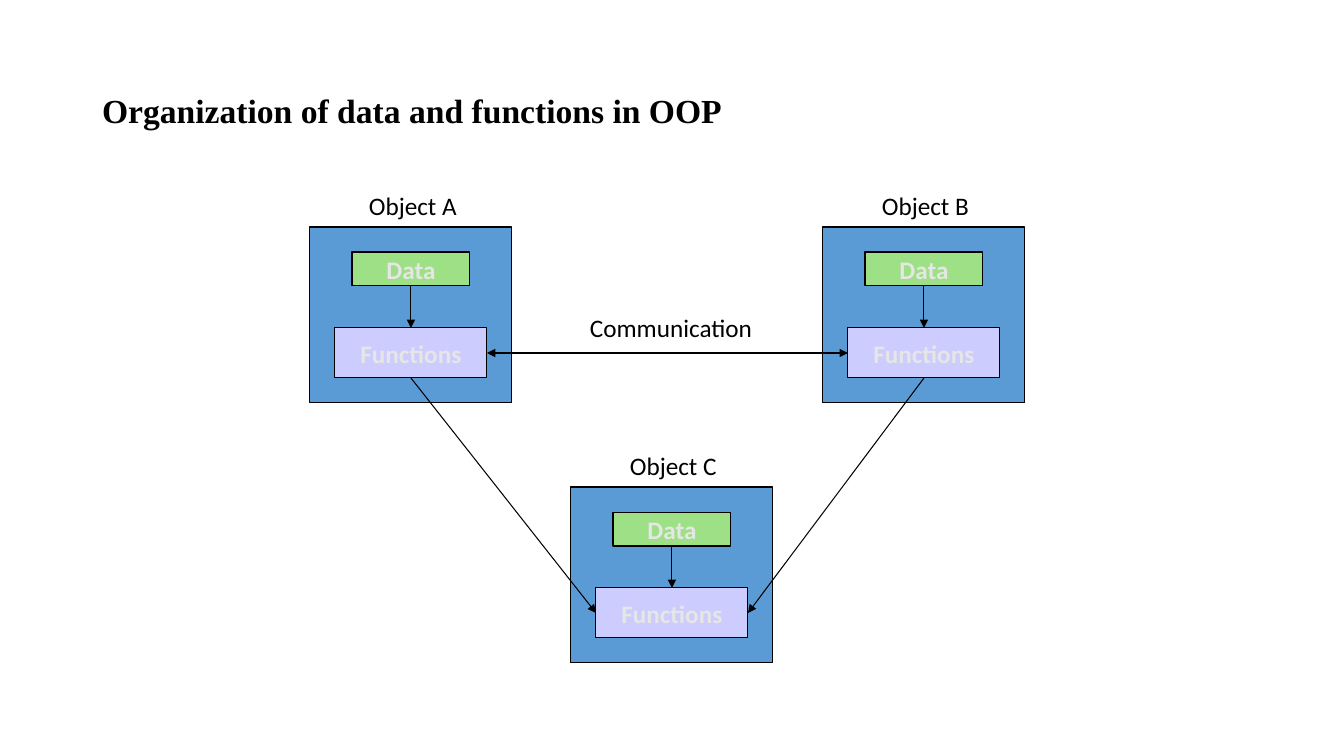
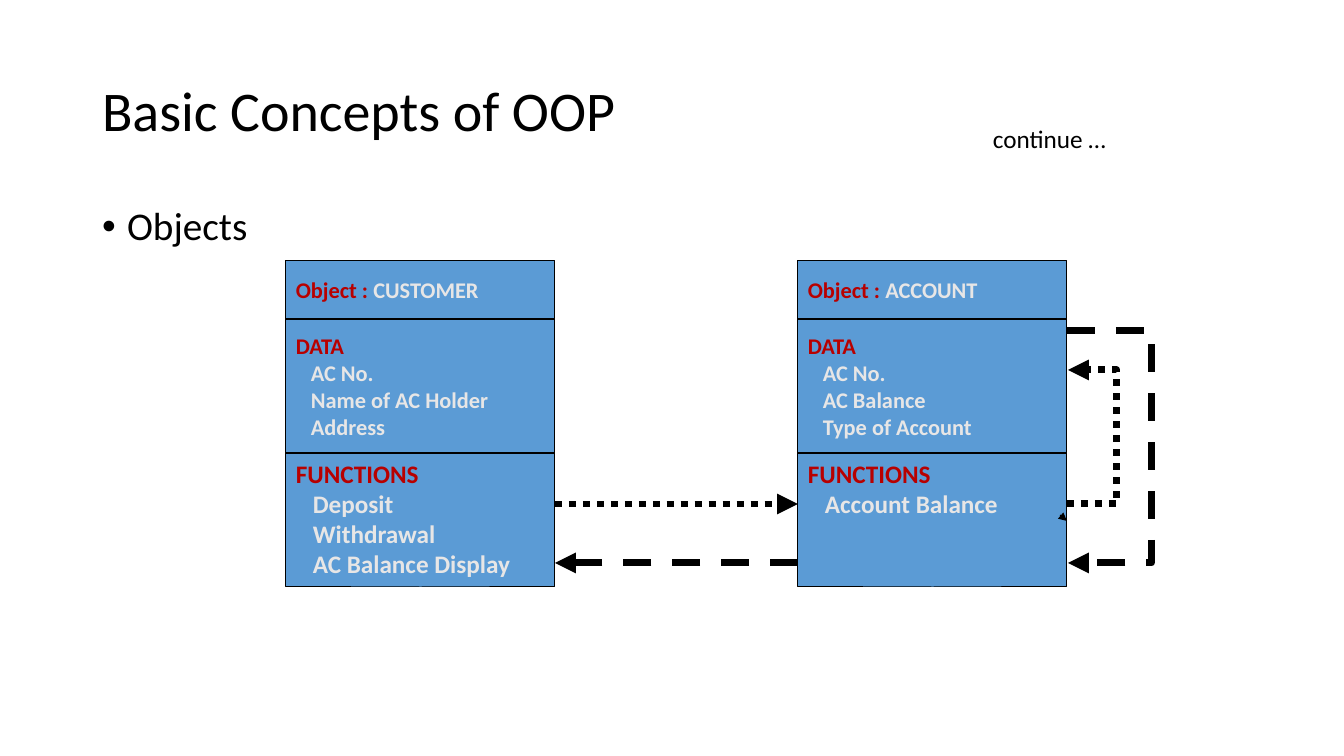
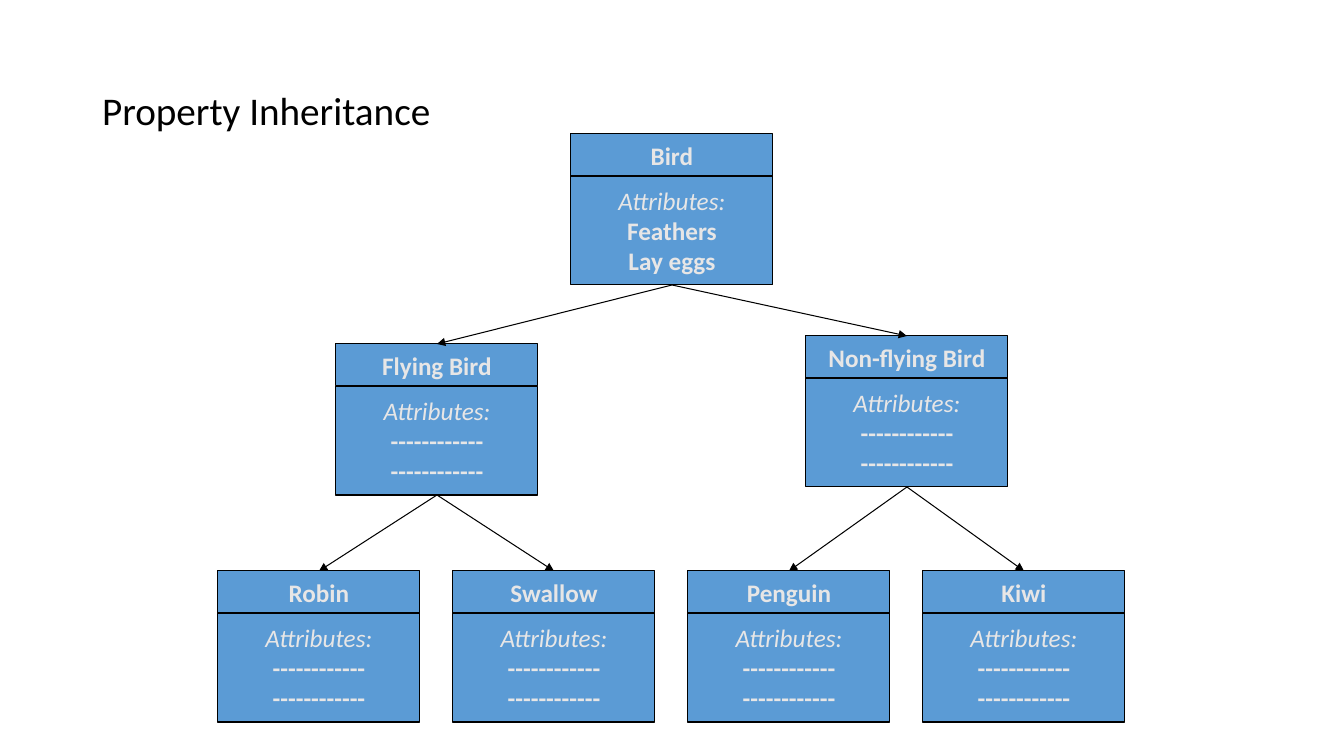
"""Three slides on object-oriented programming: objects, messages and inheritance."""
from dataclasses import dataclass
from typing import Any

import pptx
import pptx.dml.color
import pptx.enum.dml
import pptx.enum.shapes
import pptx.enum.text
import pptx.oxml.ns
import pptx.oxml.xmlchemy
import pptx.util
from lxml import etree

SCALE = 914400 / 100.8  # EMU per pixel
COLORS = {
    "black": "000000", "blue": "5B9BD5", "green": "9EE086",
    "lilac": "CCCCFF", "light": "E7E6E6", "red": "B80000",
}
ALIGN = pptx.enum.text.PP_ALIGN
ANCHOR = pptx.enum.text.MSO_ANCHOR
FIT = pptx.enum.text.MSO_AUTO_SIZE
DASH = pptx.enum.dml.MSO_LINE
CONNECTOR = pptx.enum.shapes.MSO_CONNECTOR
TOP, LEFT, BOTTOM, RIGHT = range(4)  # connection sites of a rectangle
DASHES = "------------"


@dataclass(frozen=True)
class Run:
    """A piece of text with one format."""
    text: str
    color: str = "light"
    size: int = 18
    bold: bool = True
    italic: bool = False
    font: str = "Calibri"


@dataclass(frozen=True)
class Line:
    """A paragraph, with its left indent in pixels."""
    runs: tuple[Run, ...]
    align: Any = ALIGN.CENTER
    indent: int = 0


@dataclass(frozen=True)
class Box:
    """A place on the slide in pixels."""
    x: int
    y: int
    w: int
    h: int


@dataclass(frozen=True)
class Record:
    """An object with its data and functions."""
    name: str
    x: int
    data: tuple[str, ...]
    functions: tuple[str, ...]


@dataclass(frozen=True)
class Bird:
    """A class in the inheritance tree."""
    name: str
    x: int
    y: int
    parent: str = ""
    attributes: tuple[str, str] = (DASHES, DASHES)


@dataclass(frozen=True)
class Arrow:
    """A message arrow; bend is how far an elbow reaches out to the right."""
    start: tuple[int, int]
    end: tuple[int, int]
    dash: Any = None
    width: float = 5
    bend: int = 0


def px(n: float) -> pptx.util.Emu:
    """Turn pixels into EMU."""
    return pptx.util.Emu(round(n * SCALE))


def rgb(name: str) -> pptx.dml.color.RGBColor:
    """Look up a colour."""
    return pptx.dml.color.RGBColor.from_string(COLORS[name])


def assign(target: Any, values: dict[str, Any]) -> None:
    """Set attributes from a dict of format values."""
    for key, value in values.items():
        setattr(target, key, value)


def place(sp: Any, box: Box) -> None:
    """Move and size a shape."""
    assign(sp, {"left": px(box.x), "top": px(box.y),
                "width": px(box.w), "height": px(box.h)})


def write(tf: Any, lines: list[Line]) -> None:
    """Fill a text frame with formatted paragraphs."""
    for i, line in enumerate(lines):
        p = tf.add_paragraph() if i else tf.paragraphs[0]
        p.alignment = line.align
        if line.indent:
            p._p.get_or_add_pPr().set("marL", str(px(line.indent)))
        for run in line.runs:
            r = p.add_run()
            r.text = run.text
            assign(r.font, {"name": run.font, "size": pptx.util.Pt(run.size),
                            "bold": run.bold, "italic": run.italic})
            r.font.color.rgb = rgb(run.color)


def rect(shapes: Any, box: Box, fill: str, lines: list[Line], anchor: Any = ANCHOR.MIDDLE) -> Any:
    """Draw an outlined rectangle with text."""
    kind = pptx.enum.shapes.MSO_SHAPE.RECTANGLE
    sp = shapes.add_shape(kind, px(box.x), px(box.y), px(box.w), px(box.h))
    sp.shadow.inherit = False
    sp.fill.solid()
    sp.fill.fore_color.rgb = rgb(fill)
    sp.line.color.rgb = rgb("black")
    sp.line.width = pptx.util.Pt(0.75)
    assign(sp.text_frame, {"word_wrap": False, "vertical_anchor": anchor})
    write(sp.text_frame, lines)
    return sp


def label(s: Any, box: Box, text: str) -> None:
    """Draw a plain text box."""
    sp = s.shapes.add_textbox(px(box.x), px(box.y), px(box.w), px(box.h))
    assign(sp.text_frame, {"word_wrap": False, "auto_size": FIT.SHAPE_TO_FIT_TEXT})
    write(sp.text_frame, [Line((Run(text, "black", bold=False),), ALIGN.LEFT)])


def style_arrow(cx: Any, width: float = 0.75, dash: Any = None, both: bool = False) -> None:
    """Give a connector its line, arrowheads and no shadow."""
    cx.line.color.rgb = rgb("black")
    cx.line.width = pptx.util.Pt(width)
    if dash is not None:
        cx.line.dash_style = dash
    qn = pptx.oxml.ns.qn
    sp_pr = cx.element.spPr
    ln = sp_pr.get_or_add_ln()
    for end in ("a:headEnd", "a:tailEnd") if both else ("a:tailEnd",):
        etree.SubElement(ln, qn(end), type="triangle")
    etree.SubElement(sp_pr, qn("a:effectLst"))


def link(s: Any, start: Any, start_site: int, end: Any, end_site: int, both: bool = False) -> None:
    """Join two shapes by a straight arrow."""
    cx = s.shapes.add_connector(CONNECTOR.STRAIGHT, 0, 0, 0, 0)
    cx.begin_connect(start, start_site)
    cx.end_connect(end, end_site)
    style_arrow(cx, both=both)


def message(s: Any, arrow: Arrow) -> None:
    """Draw a free arrow, straight or bent."""
    kind = CONNECTOR.ELBOW if arrow.bend else CONNECTOR.STRAIGHT
    cx = s.shapes.add_connector(kind, *map(px, arrow.start + arrow.end))
    if arrow.bend:
        qn = pptx.oxml.ns.qn
        geom = cx.element.spPr.find(qn("a:prstGeom"))
        guides = geom.find(qn("a:avLst"))
        if guides is None:
            guides = etree.SubElement(geom, qn("a:avLst"))
        ratio = arrow.bend * 100000 // (arrow.end[0] - arrow.start[0])
        etree.SubElement(guides, qn("a:gd"), name="adj1", fmla=f"val {ratio}")
    style_arrow(cx, arrow.width, arrow.dash)


def add_slide(prs: Any, layout: int, title: Run) -> Any:
    """Add a slide and format its title."""
    s = prs.slides.add_slide(prs.slide_layouts[layout])
    sp = s.shapes.title
    place(sp, Box(92, 40, 1159, 146))
    assign(sp.text_frame, {"vertical_anchor": ANCHOR.MIDDLE, "auto_size": FIT.NONE,
                           "word_wrap": True})
    write(sp.text_frame, [Line((title,), ALIGN.LEFT)])
    sp.text_frame.paragraphs[0].line_spacing = 0.9
    return s


def draw_object(s: Any, name: str, x: int, y: int) -> Any:
    """Draw an object around its data and functions; return the functions box."""
    rect(s.shapes, Box(x, y, 202, 176), "blue", [])
    data = rect(s.shapes, Box(x + 42, y + 25, 118, 34), "green", [Line((Run("Data"),))])
    functions = rect(s.shapes, Box(x + 25, y + 101, 152, 50), "lilac",
                     [Line((Run("Functions"),))])
    link(s, data, BOTTOM, functions, TOP)
    label(s, Box(x + 49, y - 42, 110, 40), name)
    return functions


def organization_slide(prs: Any) -> None:
    """Three objects that communicate."""
    s = add_slide(prs, 5, Run("Organization of data and functions in OOP", "black", 24,
                              font="Times New Roman"))
    places = {"Object A": (310, 227), "Object B": (823, 227), "Object C": (571, 487)}
    a, b, c = (draw_object(s, name, *at) for name, at in places.items())
    link(s, a, BOTTOM, c, LEFT)
    link(s, b, BOTTOM, c, RIGHT)
    link(s, a, RIGHT, b, LEFT, both=True)
    label(s, Box(580, 307, 184, 40), "Communication")


def draw_record(s: Any, record: Record) -> None:
    """Draw the three stacked panels of a record."""
    def section(head: str, items: tuple[str, ...], size: int, indent: int) -> list[Line]:
        """Red heading above indented items."""
        return [Line((Run(head, "red", size),), ALIGN.LEFT)] + [
            Line((Run(item, size=size),), ALIGN.LEFT, indent) for item in items]

    name = Line((Run("Object :", "red", 16), Run(f" {record.name}", size=16)), ALIGN.LEFT)
    panels = [
        (59, [name], ANCHOR.MIDDLE),
        (134, section("DATA", record.data, 16, 15), ANCHOR.MIDDLE),
        (134, section("FUNCTIONS", record.functions, 18, 17), ANCHOR.TOP),
    ]
    shapes = s.shapes.add_group_shape().shapes
    y = 260
    for height, lines, anchor in panels:
        rect(shapes, Box(record.x, y, 269, height), "blue", lines, anchor)
        y += height


def concepts_slide(prs: Any) -> None:
    """Two objects that exchange messages."""
    s = add_slide(prs, 1, Run("Basic Concepts of OOP", "black", 40, bold=False))
    body = s.placeholders[1]
    place(body, Box(92, 202, 1159, 480))
    body.text_frame.auto_size = FIT.NONE
    write(body.text_frame, [Line((Run("Objects", "black", 28, bold=False),), ALIGN.LEFT, 25)])
    p = body.text_frame.paragraphs[0]
    assign(p, {"line_spacing": 0.9, "space_before": pptx.util.Pt(10)})
    p_pr = p._p.get_or_add_pPr()
    p_pr.set("indent", str(-px(25)))
    etree.SubElement(p_pr, pptx.oxml.ns.qn("a:buChar"), char="•")

    for record in (
        Record("CUSTOMER", 286, ("AC No.", "Name of AC Holder", "Address"),
               ("Deposit", "Withdrawal", "AC Balance Display")),
        Record("ACCOUNT", 798, ("AC No.", "AC Balance", "Type of Account"),
               ("Account Balance",)),
    ):
        draw_record(s, record)
    for arrow in (
        Arrow((555, 504), (798, 504), DASH.ROUND_DOT),
        Arrow((798, 563), (555, 563), DASH.DASH),
        Arrow((1060, 515), (1067, 521), width=0.75),
        Arrow((1067, 504), (1068, 370), DASH.ROUND_DOT, bend=50),
        Arrow((1067, 331), (1068, 563), DASH.DASH, bend=85),
    ):
        message(s, arrow)
    label(s, Box(983, 118, 137, 40), "continue …")


def draw_bird(s: Any, bird: Bird) -> tuple[Any, Any]:
    """Draw a class card; return its name and attribute boxes."""
    shapes = s.shapes.add_group_shape().shapes
    attributes = [Run("Attributes:", bold=False, italic=True), *map(Run, bird.attributes)]
    head = rect(shapes, Box(bird.x, bird.y, 202, 42), "blue", [Line((Run(bird.name),))])
    body = rect(shapes, Box(bird.x, bird.y + 42, 202, 109), "blue",
                [Line((run,)) for run in attributes])
    return head, body


def inheritance_slide(prs: Any) -> None:
    """A tree of bird classes."""
    s = add_slide(prs, 5, Run("Property Inheritance", "black", 28, bold=False))
    flying, grounded = "Flying Bird", "Non-flying Bird"
    leaves = {"Robin": flying, "Swallow": flying, "Penguin": grounded, "Kiwi": grounded}
    birds = [
        Bird("Bird", 571, 134, attributes=("Feathers", "Lay eggs")),
        Bird(flying, 336, 344, "Bird"),
        Bird(grounded, 806, 336, "Bird"),
        *(Bird(name, 218 + 235 * i, 571, parent)
          for i, (name, parent) in enumerate(leaves.items())),
    ]
    cards = {bird.name: draw_bird(s, bird) for bird in birds}
    for bird in birds:
        if bird.parent:
            link(s, cards[bird.parent][1], BOTTOM, cards[bird.name][0], TOP)


def main() -> None:
    """Build and save the presentation."""
    prs = pptx.Presentation()
    assign(prs, {"slide_width": px(1344), "slide_height": px(756)})
    for build in (organization_slide, concepts_slide, inheritance_slide):
        build(prs)
    prs.save("out.pptx")


main()
